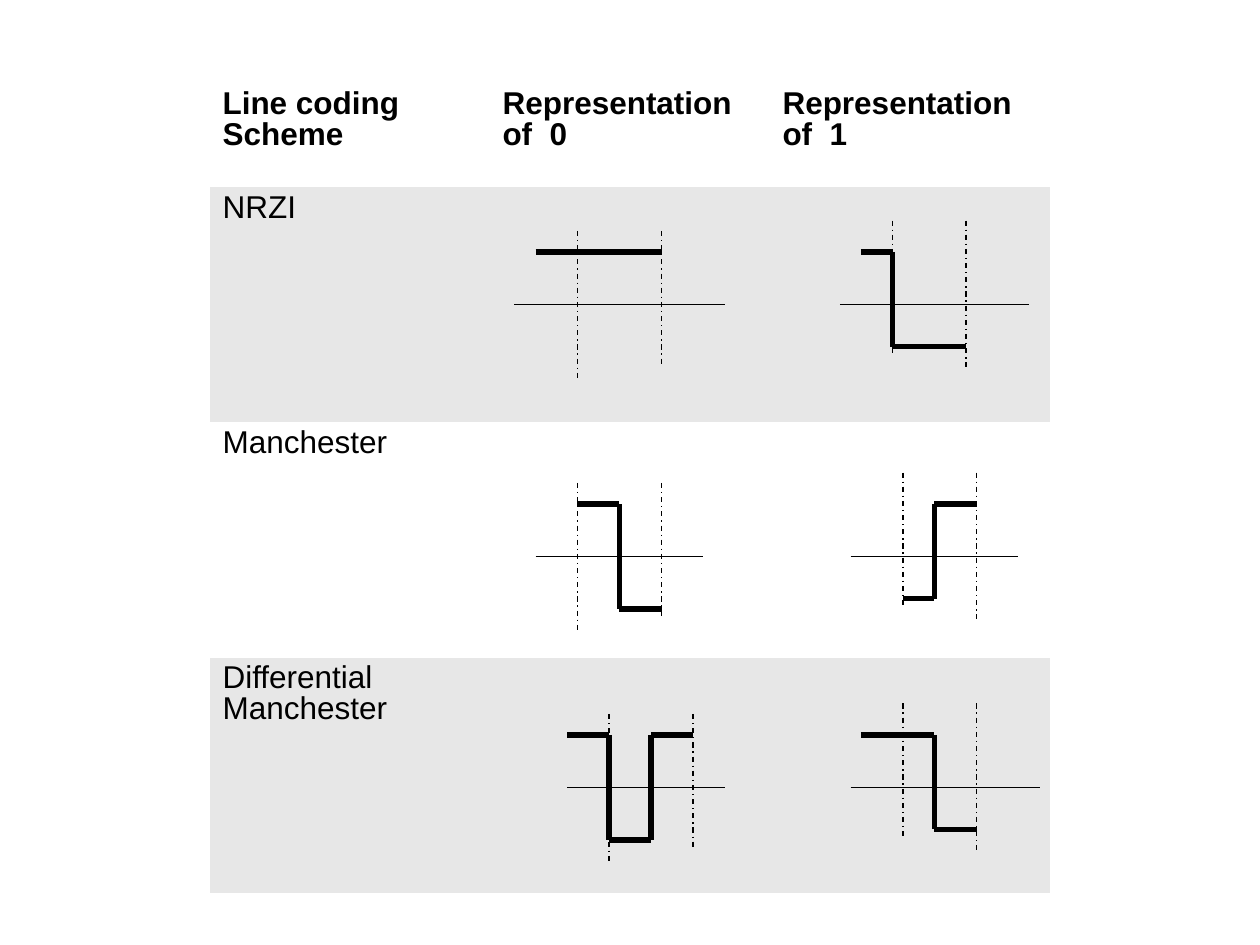
from dataclasses import dataclass

from pptx import Presentation
from pptx.dml.color import RGBColor
from pptx.enum.dml import MSO_LINE
from pptx.enum.shapes import MSO_CONNECTOR
from pptx.oxml.ns import qn
from pptx.util import Pt
from lxml.etree import SubElement


@dataclass(frozen=True)
class Theme:
    """Colours, type and line weights of the slide."""
    ink: RGBColor = RGBColor(0, 0, 0)
    paper: RGBColor = RGBColor(0xFF, 0xFF, 0xFF)
    band: RGBColor = RGBColor(0xE7, 0xE7, 0xE7)
    font: str = "Arial"
    size: float = 18
    spacing: float = 0.87
    thin: float = 0.75
    thick: float = 3


@dataclass(frozen=True)
class Levels:
    """Heights of a signal's parts, measured from its axis."""
    high: float
    low: float
    tick_top: float
    tick_ends: tuple


@dataclass(frozen=True)
class Signal:
    """Horizontal places of a signal's parts and the steps of its wave."""
    axis: tuple
    ticks: tuple
    xs: tuple
    steps: str


THEME = Theme()
NO_STYLE = "{2D5ABB26-0587-4C30-8999-92F81FD0307C}"
LEFT, TOP, COL_W, HEAD_H, ROW_H = 120, 48, 160, 59, 134.4
HEADINGS = ("Line coding Scheme", "Representation of  0", "Representation of  1")
LEVELS = (Levels(-30, 30, -42, (42, 36)), Levels(-30, 24, -48, (30, 36)))
SCHEMES = (
    ("NRZI", 67, (
        Signal((14, 134), (50, 98), (26, 98), "H"),
        Signal((40, 148), (70, 112), (52, 70, 112), "HL"))),
    ("Manchester", 76.6, (
        Signal((26, 122), (50, 98), (50, 74, 98), "HL"),
        Signal((46, 142), (76, 118), (76, 94, 118), "LH"))),
    ("Differential Manchester", 74.2, (
        Signal((44, 134), (68, 116), (44, 68, 92, 116), "HLH"),
        Signal((46, 154), (76, 118), (52, 94, 118), "HL"))),
)


def add_line(s, start, end, width, dash=None):
    """Draw one straight line between two points."""
    line = s.shapes.add_connector(
        MSO_CONNECTOR.STRAIGHT, *(Pt(v) for v in (*start, *end)))
    line.line.color.rgb = THEME.ink
    line.line.width = Pt(width)
    if dash:
        line.line.dash_style = dash
    SubElement(line._element.spPr, qn("a:effectLst"))


def add_signal(s, x, y, signal, levels):
    """Draw axis, bit limits and wave, with x the cell's left and y the axis."""
    x0, x1 = signal.axis
    add_line(s, (x + x0, y), (x + x1, y), THEME.thin)
    for tick, end in zip(signal.ticks, levels.tick_ends):
        add_line(s, (x + tick, y + levels.tick_top), (x + tick, y + end),
                 THEME.thin, MSO_LINE.DASH_DOT)
    points = []
    for step, a, b in zip(signal.steps, signal.xs, signal.xs[1:]):
        level = y + (levels.high if step == "H" else levels.low)
        points += [(x + a, level), (x + b, level)]
    for start, end in zip(points, points[1:]):
        add_line(s, start, end, THEME.thick)


def set_cell(cell, text, fill, bold):
    """Fill a table cell and set its text."""
    cell.fill.solid()
    cell.fill.fore_color.rgb = fill
    if not text:
        return
    cell.text_frame.text = text
    p = cell.text_frame.paragraphs[0]
    p.line_spacing = THEME.spacing
    font = p.runs[0].font
    font.name, font.size, font.bold = THEME.font, Pt(THEME.size), bold
    font.color.rgb = THEME.ink


def add_scheme_table(s, x, y):
    """Add the table of coding schemes with its top left corner at x, y."""
    rows = [HEADINGS] + [(name, "", "") for name, _, _ in SCHEMES]
    heights = [HEAD_H] + [ROW_H] * len(SCHEMES)
    frame = s.shapes.add_table(len(rows), len(HEADINGS), Pt(x), Pt(y),
                               Pt(COL_W * len(HEADINGS)), Pt(sum(heights)))
    table = frame.table
    table.first_row = table.horz_banding = False
    frame._element.find(".//" + qn("a:tableStyleId")).text = NO_STYLE
    for col in table.columns:
        col.width = Pt(COL_W)
    for i, (texts, height) in enumerate(zip(rows, heights)):
        table.rows[i].height = Pt(height)
        fill = THEME.band if i % 2 else THEME.paper
        for j, text in enumerate(texts):
            set_cell(table.cell(i, j), text, fill, i == 0)


def add_signals(s, x, y):
    """Draw the signals over the table whose top left corner is x, y."""
    for i, (_, axis_y, signals) in enumerate(SCHEMES):
        row_y = y + HEAD_H + i * ROW_H
        for j, (signal, levels) in enumerate(zip(signals, LEVELS), 1):
            add_signal(s, x + j * COL_W, row_y + axis_y, signal, levels)


def main():
    """Build and save the slide."""
    prs = Presentation()
    prs.slide_width, prs.slide_height = Pt(720), Pt(540)
    s = prs.slides.add_slide(prs.slide_layouts[6])
    s.background.fill.solid()
    s.background.fill.fore_color.rgb = THEME.paper
    add_scheme_table(s, LEFT, TOP)
    add_signals(s, LEFT, TOP)
    prs.save("out.pptx")


if __name__ == "__main__":
    main()
